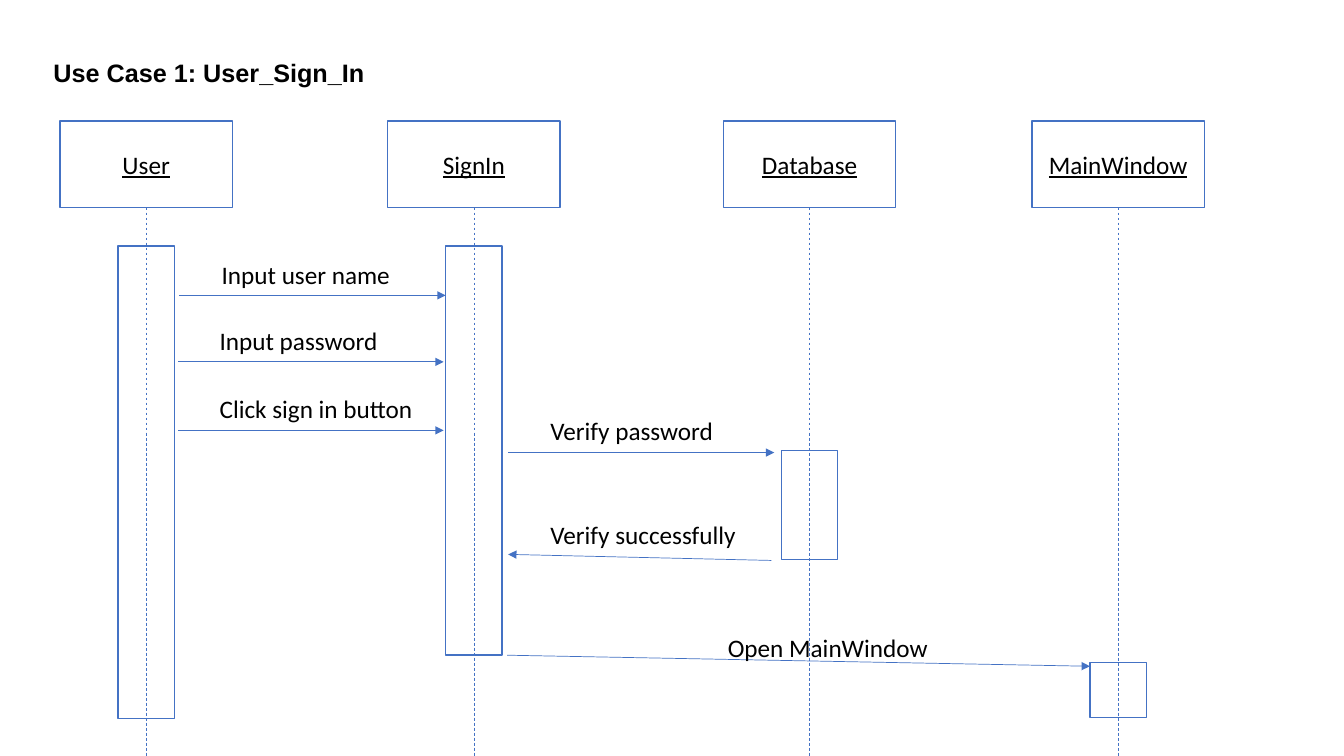
from lxml import etree
from pptx import Presentation
from pptx.dml.color import RGBColor
from pptx.enum.dml import MSO_LINE
from pptx.enum.shapes import MSO_CONNECTOR, MSO_SHAPE
from pptx.enum.text import MSO_ANCHOR, MSO_AUTO_SIZE, PP_ALIGN
from pptx.oxml.ns import qn
from pptx.util import Inches, Pt

BLUE = RGBColor(0x44, 0x72, 0xC4)
WHITE = RGBColor(0xFF, 0xFF, 0xFF)
BLACK = RGBColor(0, 0, 0)

TITLE = "Use Case 1: User_Sign_In"
# name, lifeline x, activation top, activation height
PARTICIPANTS = [
    ("User", 1.45, 2.44, 4.69),
    ("SignIn", 4.7, 2.44, 4.06),
    ("Database", 8.03, 4.47, 1.08),
    ("MainWindow", 11.09, 6.57, 0.55),
]
# text, label (left, top, width), arrow start, arrow end
MESSAGES = [
    ("Input user name", (2.1, 2.52, 1.89), (1.78, 2.93), (4.42, 2.93)),
    ("Input password", (2.08, 3.18, 1.78), (1.77, 3.59), (4.4, 3.59)),
    ("Click sign in button", (2.08, 3.85, 2.14), (1.77, 4.27), (4.4, 4.27)),
    ("Verify password", (5.36, 4.07, 1.83), (5.04, 4.49), (7.68, 4.49)),
    ("Verify successfully", (5.36, 5.1, 2.06), (7.65, 5.56), (5.04, 5.5)),
    ("Open MainWindow", (7.12, 6.22, 2.21), (5.03, 6.5), (10.81, 6.61)),
]
HEAD_TOP, HEAD_W, HEAD_H = 1.2, 1.71, 0.86
BAR_W = 0.56
LABEL_H = 0.4
SLIDE_W, SLIDE_H = 13.33, 7.5


def set_text(shape, text, font="Calibri"):
    tf = shape.text_frame
    tf.text = text
    p = tf.paragraphs[0]
    f = p.runs[0].font
    f.name, f.size, f.color.rgb = font, Pt(18), BLACK
    return tf, p, f


def add_box(s, center, top, width, height):
    box = s.shapes.add_shape(MSO_SHAPE.RECTANGLE, Inches(center - width / 2),
                             Inches(top), Inches(width), Inches(height))
    box.shadow.inherit = False
    box.fill.solid()
    box.fill.fore_color.rgb = WHITE
    box.line.color.rgb = BLUE
    box.line.width = Pt(1)
    return box


def add_line(s, start, end):
    x1, y1, x2, y2 = (Inches(v) for v in start + end)
    line = s.shapes.add_connector(MSO_CONNECTOR.STRAIGHT, x1, y1, x2, y2)
    line.line.color.rgb = BLUE
    line.line.width = Pt(0.5)
    etree.SubElement(line._element.spPr, qn("a:effectLst"))
    return line


prs = Presentation()
prs.slide_width, prs.slide_height = Inches(SLIDE_W), Inches(SLIDE_H)
s = prs.slides.add_slide(prs.slide_layouts[5])

# Title
title = s.shapes.title
title.left, title.top = Inches(0.43), Inches(0.5)
title.width, title.height = Inches(3.32), Inches(0.43)
tf, p, f = set_text(title, TITLE, "Arial")
tf.word_wrap = False
tf.auto_size = MSO_AUTO_SIZE.SHAPE_TO_FIT_TEXT
tf.vertical_anchor = MSO_ANCHOR.TOP
p.alignment = PP_ALIGN.LEFT
p.line_spacing = 1.07
f.bold = True

# Participants: heading, activation bar and lifeline
for name, x, bar_top, bar_h in PARTICIPANTS:
    head = add_box(s, x, HEAD_TOP, HEAD_W, HEAD_H)
    tf, p, f = set_text(head, name)
    tf.vertical_anchor = MSO_ANCHOR.MIDDLE
    p.alignment = PP_ALIGN.CENTER
    f.underline = True
    add_box(s, x, bar_top, BAR_W, bar_h)
    lifeline = add_line(s, (x, HEAD_TOP + HEAD_H), (x, SLIDE_H))
    lifeline.begin_connect(head, 2)
    lifeline.line.dash_style = MSO_LINE.DASH

# Messages: arrow and label
for text, (left, top, width), start, end in MESSAGES:
    arrow = add_line(s, start, end)
    etree.SubElement(arrow.line._get_or_add_ln(), qn("a:tailEnd"), type="triangle")
    label = s.shapes.add_textbox(Inches(left), Inches(top),
                                 Inches(width), Inches(LABEL_H))
    tf, p, f = set_text(label, text)
    tf.word_wrap = False
    tf.auto_size = MSO_AUTO_SIZE.SHAPE_TO_FIT_TEXT

prs.save("out.pptx")
